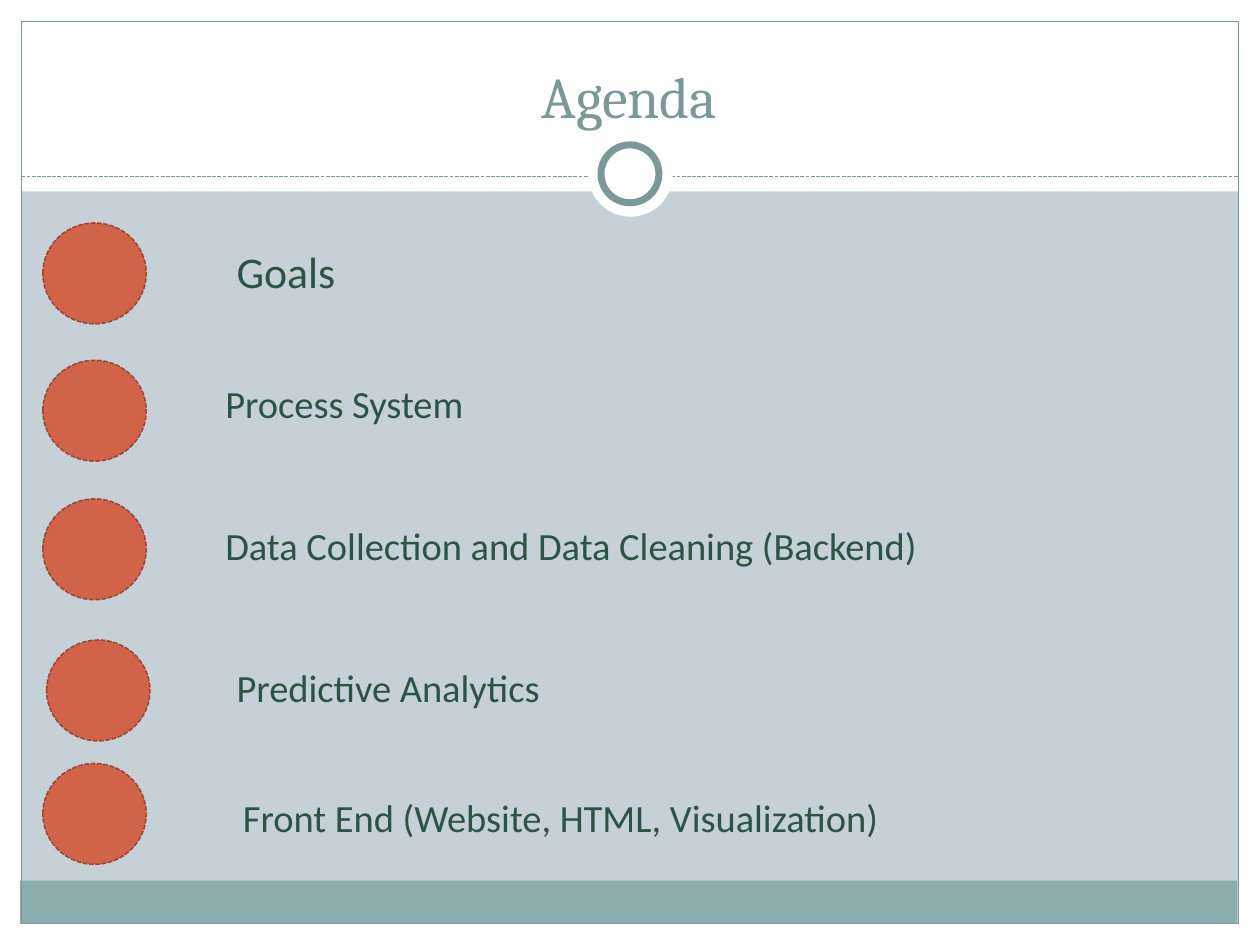
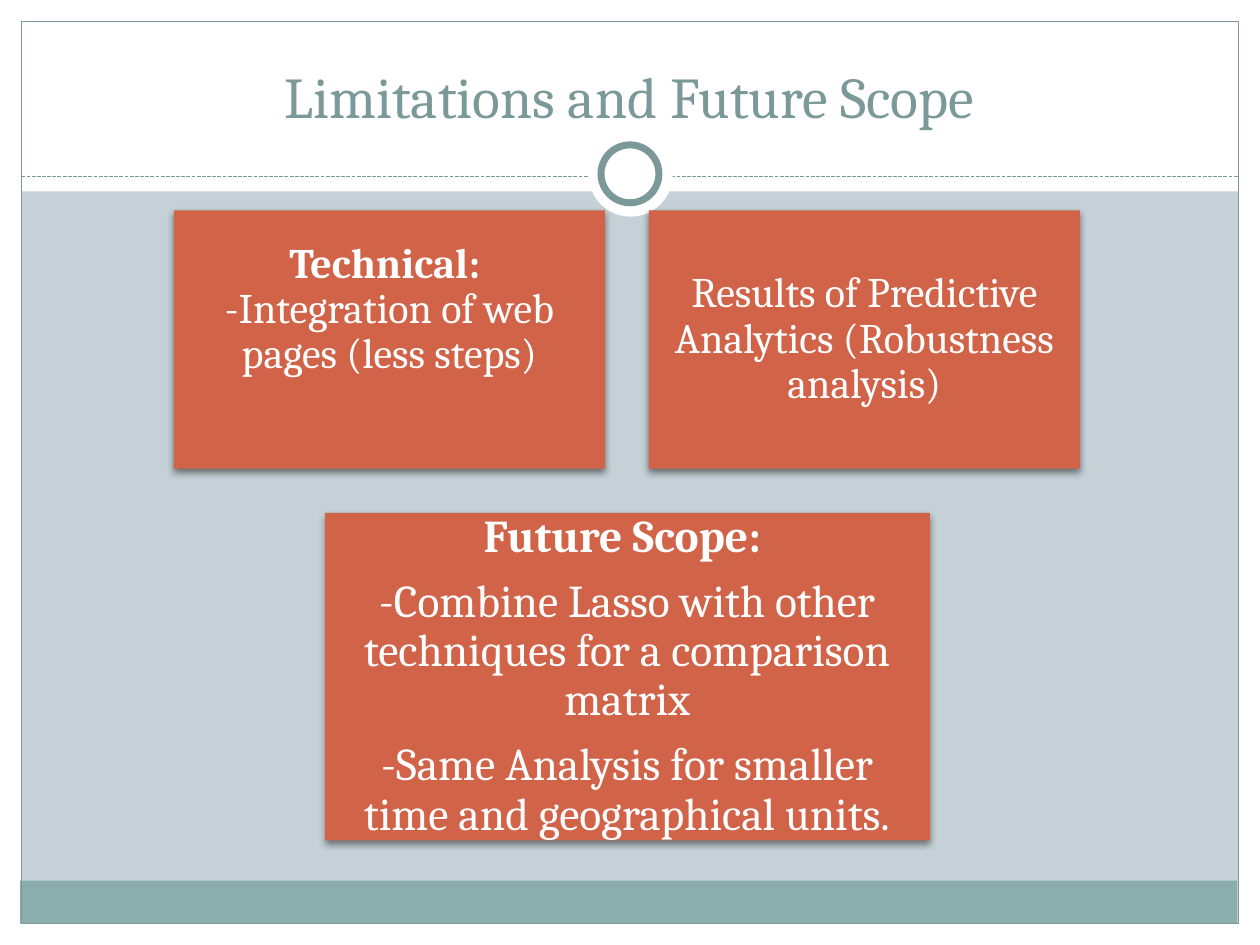
from lxml.etree import SubElement
from pptx import Presentation
from pptx.dml.color import RGBColor
from pptx.enum.dml import MSO_LINE as Dash
from pptx.enum.shapes import MSO_CONNECTOR as Connector, MSO_SHAPE as Shape
from pptx.enum.text import MSO_ANCHOR as Anchor, PP_ALIGN as Align
from pptx.oxml.ns import qn
from pptx.util import Inches, Pt

WHITE, MIST, TEAL, BAND = "FFFFFF", "C5D1D7", "7C999A", "8CADAE"
RUST, RUST_EDGE, GREEN = "D16349", "9B4936", "2D5345"


def add_figure(slide, kind, place, fill=None, edge=None, edge_width=0.75):
    figure = slide.shapes.add_shape(kind, *map(Inches, place))
    figure.shadow.inherit = False
    if fill:
        figure.fill.solid()
        figure.fill.fore_color.rgb = RGBColor.from_string(fill)
    else:
        figure.fill.background()
    if edge:
        figure.line.color.rgb = RGBColor.from_string(edge)
        figure.line.width = Pt(edge_width)
    else:
        figure.line.fill.background()
    return figure


def add_words(paragraph, words, size, face, color, bold=False):
    run = paragraph.add_run()
    run.text = words
    run.font.size = Pt(size)
    run.font.name = face
    run.font.bold = bold
    run.font.color.rgb = RGBColor.from_string(color)


deck = Presentation()
deck.slide_width, deck.slide_height = Inches(10), Inches(7.5)

# Frame and title shared by both slides
slides = []
for heading in ("Agenda", "Limitations and Future Scope"):
    slide = deck.slides.add_slide(deck.slide_layouts[6])
    slides.append(slide)
    slide.background.fill.solid()
    slide.background.fill.fore_color.rgb = RGBColor.from_string(MIST)

    for margin in ((0, 7.33, 10, 0.17), (0, 0, 10, 1.52),
                   (0, 0, 0.17, 7.5), (9.83, 0, 0.17, 7.5)):
        add_figure(slide, Shape.RECTANGLE, margin, WHITE)
    add_figure(slide, Shape.RECTANGLE, (0.16, 6.99, 9.66, 0.34), BAND)
    add_figure(slide, Shape.RECTANGLE, (0.17, 0.17, 9.66, 7.16), edge=TEAL)

    divider = slide.shapes.add_connector(
        Connector.STRAIGHT, Inches(0.17), Inches(1.4), Inches(9.83), Inches(1.4))
    divider.line.color.rgb = RGBColor.from_string(TEAL)
    divider.line.width = Pt(0.75)
    divider.line.dash_style = Dash.SQUARE_DOT
    SubElement(divider._element.spPr, qn("a:effectLst"))

    add_figure(slide, Shape.OVAL, (4.67, 1.05, 0.67, 0.67), WHITE)
    add_figure(slide, Shape.OVAL, (4.77, 1.15, 0.46, 0.46), WHITE, TEAL, 4)

    title = slide.shapes.add_textbox(
        Inches(0.33), Inches(0.25), Inches(9.33), Inches(0.83)).text_frame
    title.word_wrap = True
    title.vertical_anchor = Anchor.BOTTOM
    title.paragraphs[0].alignment = Align.CENTER
    add_words(title.paragraphs[0], heading, 33, "Cambria", TEAL)

agenda, outlook = slides

# Agenda: a dot and a topic per row
topics = [
    # topic, size, dot left, dot top, text left, text top
    ("Goals", 25, 0.34, 1.77, 1.78, 1.89),
    ("Process System", 22, 0.34, 2.86, 1.69, 2.97),
    ("Data Collection and Data Cleaning (Backend)", 22, 0.34, 3.96, 1.69, 4.09),
    ("Predictive Analytics", 22, 0.37, 5.08, 1.78, 5.22),
    ("Front End (Website, HTML, Visualization)", 22, 0.34, 6.06, 1.83, 6.25),
]
for topic, size, dot_left, dot_top, left, top in topics:
    dot = add_figure(agenda, Shape.OVAL, (dot_left, dot_top, 0.82, 0.8),
                     RUST, RUST_EDGE, 0.9)
    dot.line.dash_style = Dash.SQUARE_DOT
    label = agenda.shapes.add_textbox(
        Inches(left), Inches(top), Inches(7), Inches(0.5)).text_frame
    label.word_wrap = True
    add_words(label.paragraphs[0], topic, size, "Calibri", GREEN)

# Limitations: cards, each with paragraphs made of (words, bold) lines
cards = [
    # place, size, inset, bottom inset, paragraphs
    ((1.38, 1.67, 3.42, 2.05), 24, 0.1, 0.57,
     [[("Technical: ", True), ("-Integration of web pages (less steps)", False)]]),
    ((5.15, 1.67, 3.42, 2.05), 24, 0.1, 0.1,
     [[("Results of Predictive Analytics (Robustness analysis)", False)]]),
    ((2.58, 4.07, 4.8, 2.6), 26, 0.11, 0.11,
     [[("Future Scope: ", True)],
      [("-Combine Lasso with other techniques for a comparison matrix", False)],
      [("-Same Analysis for smaller time and geographical units.", False)]]),
]
for place, size, inset, bottom, paragraphs in cards:
    card = add_figure(outlook, Shape.RECTANGLE, place, RUST)
    effects = card._element.spPr.find(qn("a:effectLst"))
    shadow = SubElement(effects, qn("a:outerShdw"), blurRad=str(Pt(4)),
                        dist=str(Pt(2)), dir="5400000", rotWithShape="0")
    shade = SubElement(shadow, qn("a:srgbClr"), val="000000")
    SubElement(shade, qn("a:alpha"), val="45000")

    body = card.text_frame
    body.word_wrap = True
    body.vertical_anchor = Anchor.MIDDLE
    body.margin_left = body.margin_right = body.margin_top = Inches(inset)
    body.margin_bottom = Inches(bottom)
    for i, lines in enumerate(paragraphs):
        paragraph = body.add_paragraph() if i else body.paragraphs[0]
        paragraph.alignment = Align.CENTER
        paragraph.line_spacing = 0.9
        if i < len(paragraphs) - 1:
            paragraph.space_after = Pt(0.35 * size)
        for j, (words, bold) in enumerate(lines):
            if j:
                paragraph.add_line_break()
            add_words(paragraph, words, size, "Cambria", WHITE, bold)

deck.save("out.pptx")
